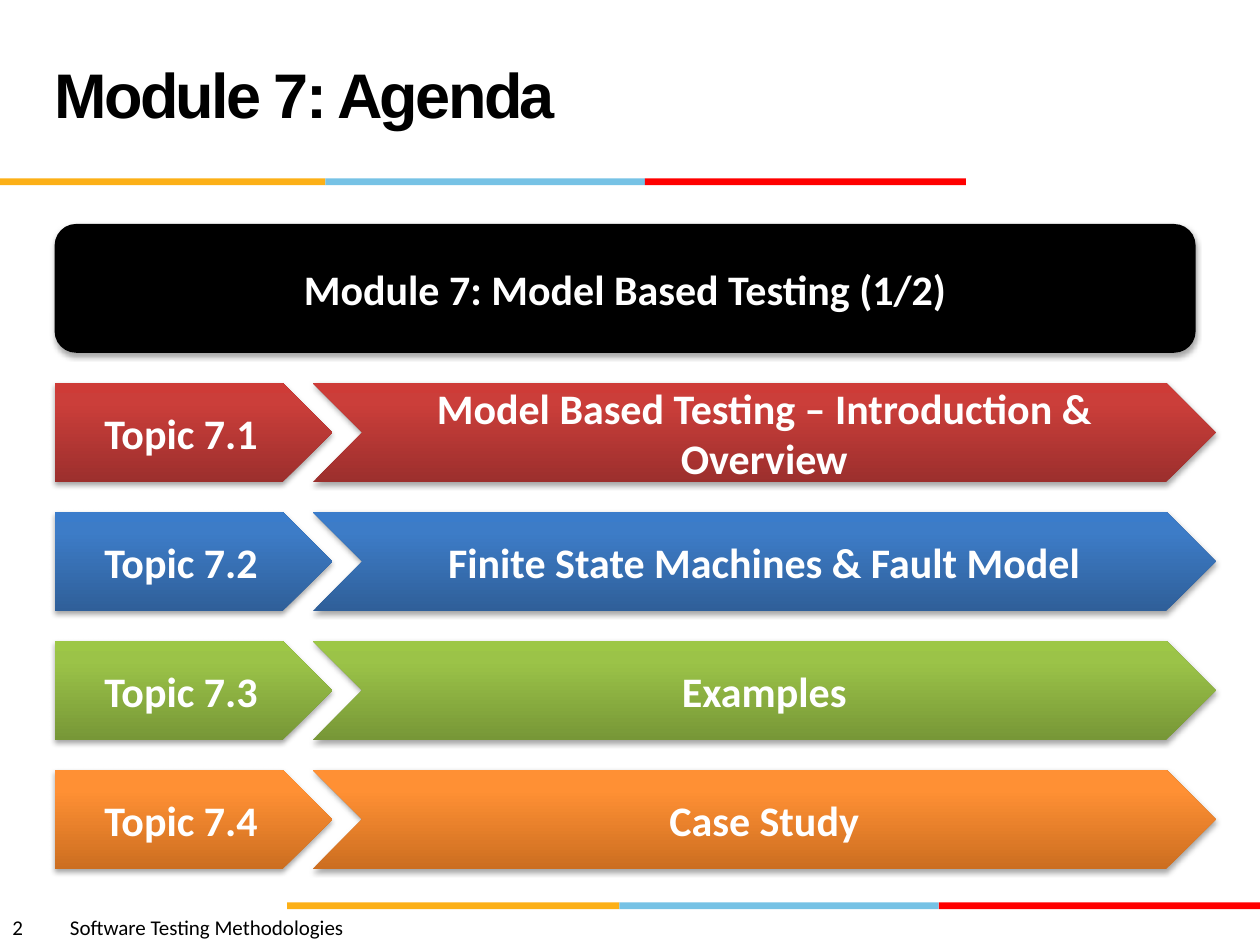
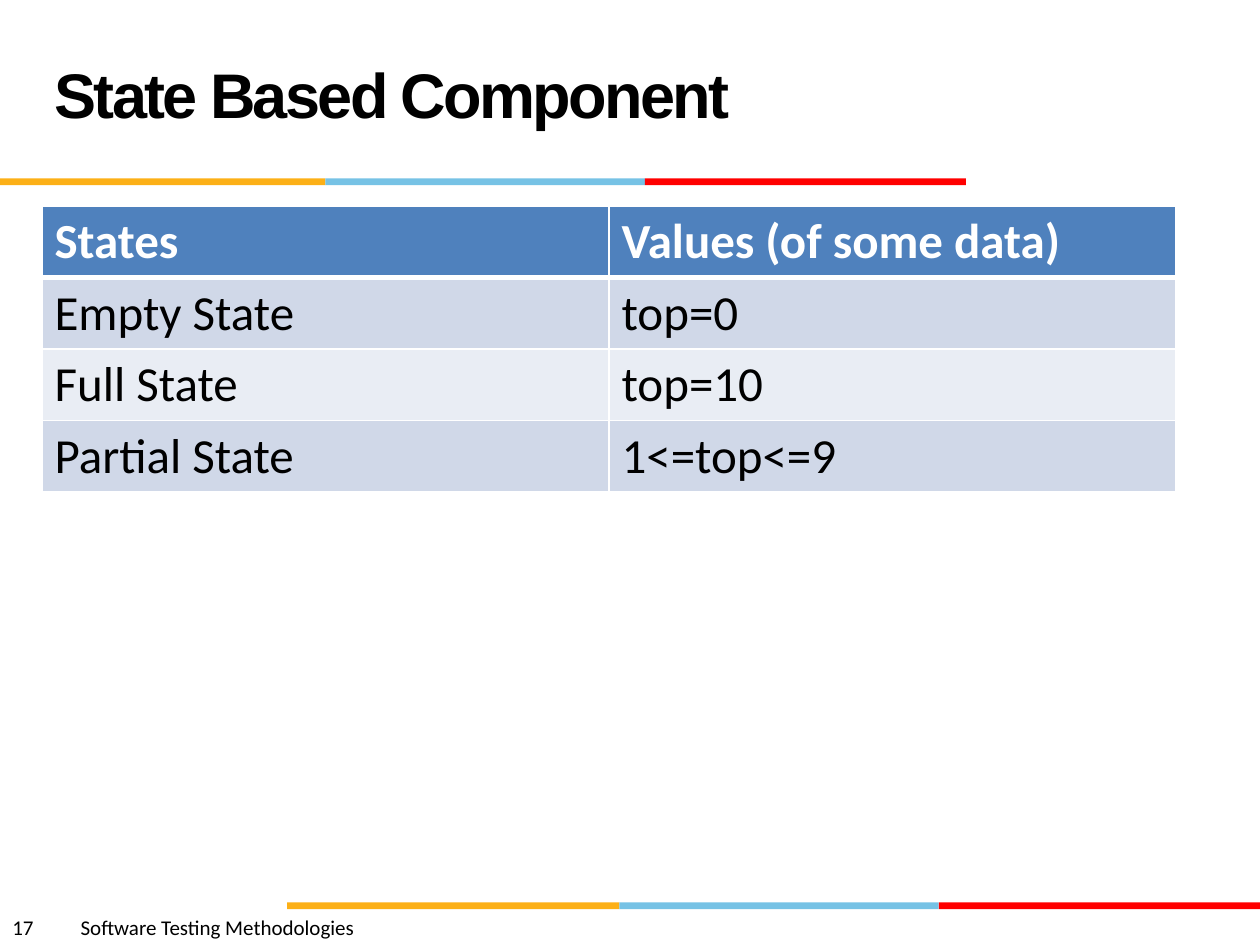
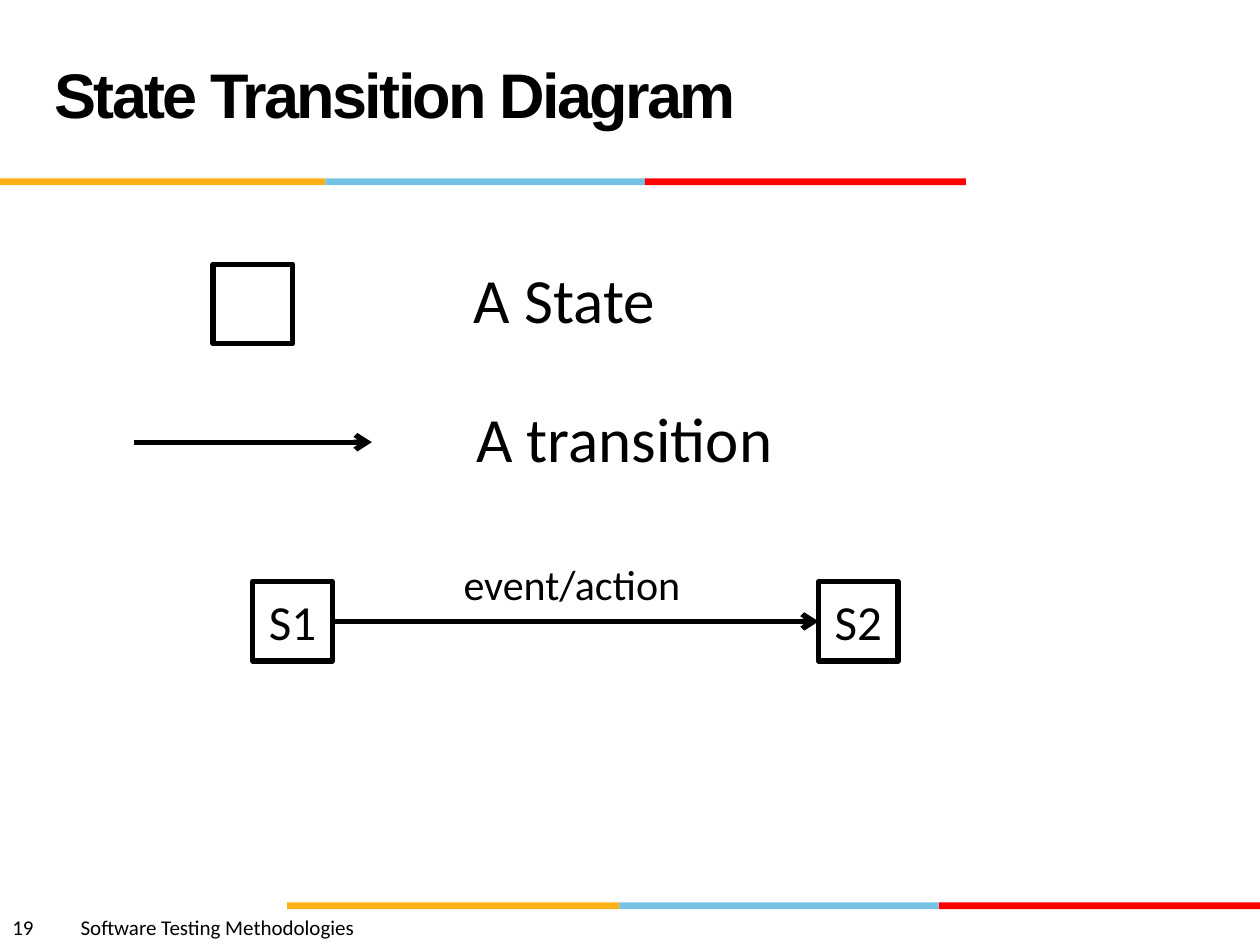
from copy import deepcopy
from lxml.etree import SubElement
from pptx import Presentation
from pptx.dml.color import RGBColor
from pptx.enum.shapes import MSO_CONNECTOR, MSO_SHAPE as SHAPE
from pptx.enum.text import MSO_ANCHOR as ANCHOR, PP_ALIGN as ALIGN
from pptx.oxml.ns import qn
from pptx.util import Pt

BLACK, WHITE = "000000", "FFFFFF"
AMBER, SKY, RED = "FCB017", "76C2E5", "FF0000"
HEADER_BLUE, BAND_DARK, BAND_LIGHT = "4F81BD", "D0D8E8", "E9EDF4"
rgb = RGBColor.from_string


def write(tf, text, size, color=BLACK, bold=False, font="Calibri", align=ALIGN.LEFT):
    p = tf.paragraphs[0]
    p.alignment = align
    r = p.add_run()
    r.text = text
    r.font.size = Pt(size)
    r.font.name = font
    r.font.bold = bold
    r.font.color.rgb = rgb(color)
    return p


def add_box(s, kind, x, y, w, h, fill, shadow=False):
    sp = s.shapes.add_shape(kind, Pt(x), Pt(y), Pt(w), Pt(h))
    sp.shadow.inherit = False
    sp.line.fill.background()
    sp.text_frame.vertical_anchor = ANCHOR.MIDDLE
    if isinstance(fill, str):
        sp.fill.solid()
        sp.fill.fore_color.rgb = rgb(fill)
    else:
        sp.fill.gradient()
        sp.fill.gradient_angle = 90
        stops = sp._element.spPr.find(".//" + qn("a:gsLst"))
        stops.append(deepcopy(stops[-1]))
        for stop, position, color in zip(sp.fill.gradient_stops, (0, 0.8, 1), fill):
            stop.position = position
            stop.color.rgb = rgb(color)
    if shadow:
        effects = sp._element.spPr.find(qn("a:effectLst"))
        outer = SubElement(effects, qn("a:outerShdw"), blurRad=str(Pt(3.1)),
                           dist=str(Pt(1.8)), dir="5400000", rotWithShape="0")
        tint = SubElement(outer, qn("a:srgbClr"), val=BLACK)
        SubElement(tint, qn("a:alpha"), val="35000")
    return sp


prs = Presentation()
prs.slide_width, prs.slide_height = Pt(720), Pt(540)

slides = []
for number, title in [("2", "Module 7: Agenda"),
                      ("17", "State Based Component"),
                      ("19", "State Transition Diagram")]:
    s = prs.slides.add_slide(prs.slide_layouts[6])
    slides.append(s)

    for y, edges in [(102, (0, 186, 368.5, 552)), (515.7, (164, 354, 536.5, 720))]:
        for left, right, color in zip(edges, edges[1:], (AMBER, SKY, RED)):
            add_box(s, SHAPE.RECTANGLE, left, y, right - left, 3.8, color)

    tf = s.shapes.add_textbox(0, Pt(519), Pt(360), Pt(21.6)).text_frame
    tf.word_wrap = True
    p = tf.paragraphs[0]
    tabs = SubElement(p._p.get_or_add_pPr(), qn("a:tabLst"))
    SubElement(tabs, qn("a:tab"), pos=str(Pt(26.8 + 6.1 * len(number))), algn="l")
    write(tf, number + "\tSoftware Testing Methodologies", 12)

    tf = s.shapes.add_textbox(Pt(24), Pt(12), Pt(498), Pt(90)).text_frame
    tf.word_wrap = True
    tf.vertical_anchor = ANCHOR.MIDDLE
    p = write(tf, title, 36, bold=True, font="Arial")
    p.line_spacing = Pt(36)
    p.runs[0].font._element.set("spc", "-150")

agenda, components, diagram = slides

topics = [
    ("Model Based Testing – Introduction & Overview", ("9C2F2D", "CB3E3A", "CE3B37")),
    ("Finite State Machines & Fault Model", ("2F5F99", "3D7CC7", "3A7CCB")),
    ("Examples", ("779737", "9BC348", "9DC746")),
    ("Case Study", ("CC6E20", "FF9034", "FF9136")),
]
for i, (topic, gradient) in enumerate(topics):
    y = 218.8 + 73.7 * i
    for kind, x, w, text in [(SHAPE.PENTAGON, 31.2, 158.6, f"Topic 7.{i + 1}"),
                             (SHAPE.CHEVRON, 178.7, 516, topic)]:
        sp = add_box(agenda, kind, x, y, w, 56.7, gradient, shadow=True)
        write(sp.text_frame, text, 24, WHITE, bold=True, align=ALIGN.CENTER)

sp = add_box(agenda, SHAPE.ROUNDED_RECTANGLE, 31.2, 128, 652, 73.6, BLACK, shadow=True)
write(sp.text_frame, "Module 7: Model Based Testing (1/2)", 24, WHITE, bold=True, align=ALIGN.CENTER)

rows = [("States", "Values (of some data)"), ("Empty State", "top=0"),
        ("Full State", "top=10"), ("Partial State", "1<=top<=9")]
table = components.shapes.add_table(len(rows), 2, Pt(24), Pt(117.6), Pt(648), Pt(163.2)).table
for i, row in enumerate(rows):
    table.rows[i].height = Pt(40.8)
    header = i == 0
    for j, text in enumerate(row):
        cell = table.cell(i, j)
        tcPr = cell._tc.get_or_add_tcPr()
        for side in ("lnL", "lnR", "lnT", "lnB"):
            thick = (i, side) in ((0, "lnB"), (1, "lnT"))
            ln = SubElement(tcPr, qn("a:" + side), w=str(Pt(3 if thick else 1)))
            SubElement(SubElement(ln, qn("a:solidFill")), qn("a:srgbClr"), val=WHITE)
        cell.fill.solid()
        cell.fill.fore_color.rgb = rgb(HEADER_BLUE if header else BAND_DARK if i % 2 else BAND_LIGHT)
        write(cell.text_frame, text, 28, WHITE if header else BLACK, bold=header)

states = []
for x, y, name in [(121.8, 151, ""), (144.5, 332.4, "S1"), (467.8, 332.4, "S2")]:
    sp = add_box(diagram, SHAPE.RECTANGLE, x, y, 45.4, 45.4, WHITE)
    sp.line.color.rgb = rgb(BLACK)
    sp.line.width = Pt(3)
    if name:
        write(sp.text_frame, name, 28, align=ALIGN.CENTER)
    states.append(sp)

for x1, x2, y, ends in [(76.5, 212.5, 252.7, None), (189.9, 467.8, 355.1, states[1:])]:
    arrow = diagram.shapes.add_connector(MSO_CONNECTOR.STRAIGHT, Pt(x1), Pt(y), Pt(x2), Pt(y))
    if ends:
        arrow.begin_connect(ends[0], 3)
        arrow.end_connect(ends[1], 1)
    arrow.line.color.rgb = rgb(BLACK)
    arrow.line.width = Pt(3)
    SubElement(arrow.line._get_or_add_ln(), qn("a:tailEnd"), type="arrow")
    SubElement(arrow._element.spPr, qn("a:effectLst"))

for x, y, w, h, text, size in [(263.5, 145.4, 118.8, 51, "A State", 36),
                               (265, 224.6, 185.8, 51, "A transition", 36),
                               (257.8, 315.4, 139.7, 36, "event/action", 24)]:
    tf = diagram.shapes.add_textbox(Pt(x), Pt(y), Pt(w), Pt(h)).text_frame
    tf.word_wrap = False
    write(tf, text, size)

prs.save("out.pptx")
